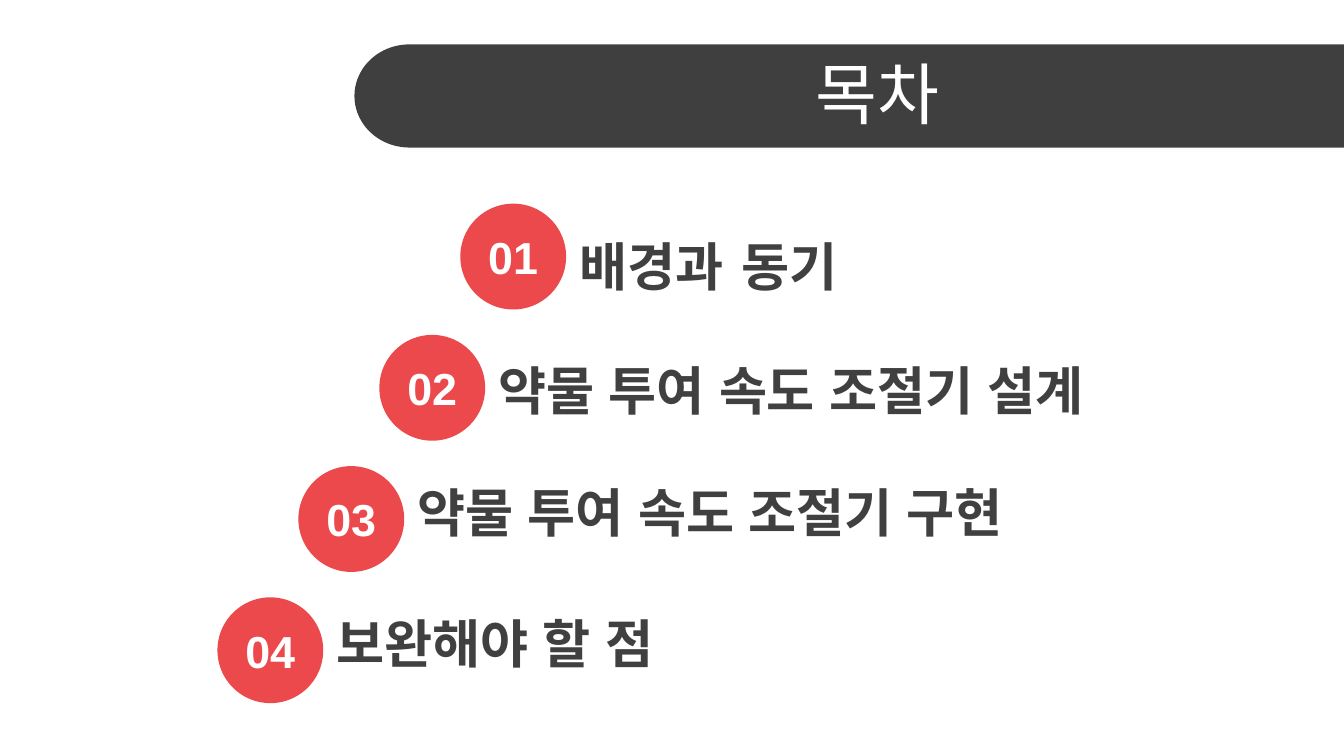
from dataclasses import dataclass
from math import cos, pi, sin

from lxml.etree import SubElement
from pptx import Presentation
from pptx.dml.color import RGBColor
from pptx.enum.shapes import MSO_SHAPE
from pptx.enum.text import MSO_ANCHOR, MSO_AUTO_SIZE, PP_ALIGN
from pptx.oxml.ns import qn
from pptx.shapes.autoshape import Shape
from pptx.slide import Slide
from pptx.util import Cm, Pt

COLORS = {"bar": "3F3F3F", "badge": "EB494B", "label": "404040", "white": "FFFFFF"}
FONT = "Arial"

SLIDE_WIDTH = 25.4
SLIDE_HEIGHT = SLIDE_WIDTH * 9 / 16
BADGE_SIZE = 2.0
FIRST_LEFT, FIRST_TOP = 8.7, 3.85
STEP_LEFT, STEP_TOP = -1.53, 2.48
LABEL_OFFSET, LABEL_WIDTH = 2.0, 13.2


@dataclass
class AgendaItem:
    runs: list[tuple[str, int]]  # text and size in points
    label_top: float
    label_height: float = 1.45


AGENDA = [
    AgendaItem([("배경과", 28), (" ", 36), ("동기", 28)], 4.01, 1.8),
    AgendaItem([("약물 투여 속도 조절기 설계", 28)], 6.64),
    AgendaItem([("약물 투여 속도 조절기 구현", 28)], 8.95),
    AgendaItem([("보완해야 할 점", 28)], 11.43),
]


def write_text(shape: Shape, runs: list[tuple[str, int]], *, color: str,
               bold: bool = False, align: PP_ALIGN = PP_ALIGN.LEFT,
               wrap: bool = True) -> None:
    frame = shape.text_frame
    frame.word_wrap = wrap
    frame.auto_size = MSO_AUTO_SIZE.NONE
    frame.vertical_anchor = MSO_ANCHOR.MIDDLE
    paragraph = frame.paragraphs[0]
    paragraph.alignment = align
    for text, size in runs:
        run = paragraph.add_run()
        run.text = text
        run.font.name = FONT
        run.font.size = Pt(size)
        run.font.bold = bold
        run.font.color.rgb = RGBColor.from_string(COLORS[color])
        # Korean text takes its font from the East Asian slot
        properties = run.font._element
        SubElement(properties, qn("a:ea")).set("typeface", FONT)


def paint(shape: Shape, color: str) -> None:
    shape.fill.solid()
    shape.fill.fore_color.rgb = RGBColor.from_string(COLORS[color])
    shape.line.fill.background()
    shape.shadow.inherit = False


def draw_title_bar(slide: Slide, left: float, top: float, height: float,
                   cap_width: float, steps: int = 60) -> Shape:
    """Draw a bar with a rounded left end that runs to the slide's right edge."""
    middle = top + height / 2
    angles = [pi / 2 + pi * step / steps for step in range(steps + 1)]
    cap = [(Cm(left + cap_width * (1 + cos(angle))),
            Cm(middle - height / 2 * sin(angle))) for angle in angles]
    builder = slide.shapes.build_freeform(Cm(SLIDE_WIDTH), Cm(top))
    builder.add_line_segments(cap + [(Cm(SLIDE_WIDTH), Cm(top + height))], close=True)
    bar = builder.convert_to_shape()
    paint(bar, "bar")
    return bar


def draw_agenda_item(slide: Slide, index: int, item: AgendaItem) -> None:
    left = FIRST_LEFT + index * STEP_LEFT
    top = FIRST_TOP + index * STEP_TOP

    # Numbered badge
    badge = slide.shapes.add_shape(
        MSO_SHAPE.OVAL, Cm(left), Cm(top), Cm(BADGE_SIZE), Cm(BADGE_SIZE))
    paint(badge, "badge")
    write_text(badge, [(f"{index + 1:02d}", 24)], color="white", bold=True,
               align=PP_ALIGN.CENTER, wrap=False)

    # Label
    label = slide.shapes.add_textbox(
        Cm(left + LABEL_OFFSET), Cm(item.label_top),
        Cm(LABEL_WIDTH), Cm(item.label_height))
    write_text(label, item.runs, color="label", bold=True)


def main() -> None:
    presentation = Presentation()
    presentation.slide_width = Cm(SLIDE_WIDTH)
    presentation.slide_height = Cm(SLIDE_HEIGHT)
    slide = presentation.slides.add_slide(presentation.slide_layouts[5])

    # Title on its bar, with the bar placed behind
    title = slide.shapes.title
    title.left, title.top, title.width, title.height = (
        Cm(7.77), Cm(0.95), Cm(17.63), Cm(1.6))
    write_text(title, [("목차", 36)], color="white", align=PP_ALIGN.CENTER)
    bar = draw_title_bar(slide, left=6.7, top=0.84, height=1.95, cap_width=1.04)
    title.element.addprevious(bar.element)

    # Agenda, stepping down to the left
    for index, item in enumerate(AGENDA):
        draw_agenda_item(slide, index, item)

    presentation.save("out.pptx")


if __name__ == "__main__":
    main()
